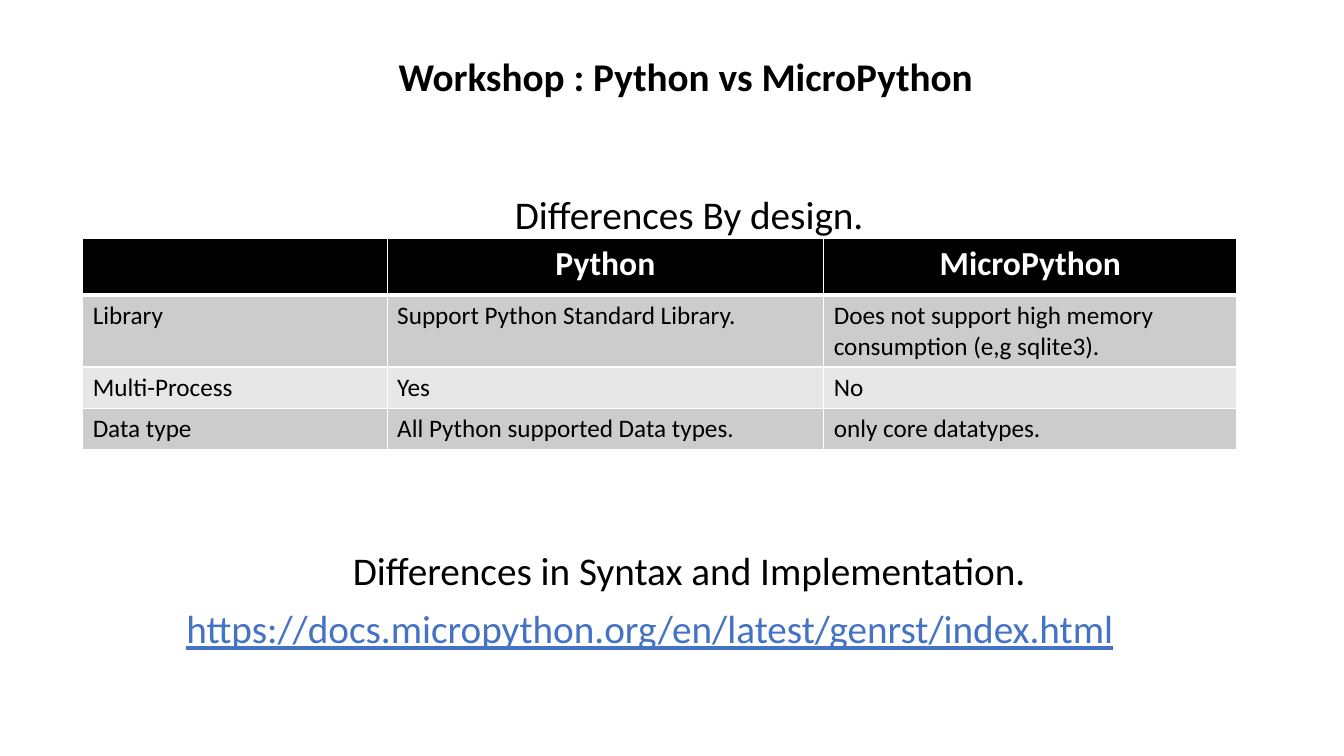
import pptx
import pptx.util
import pptx.dml.color
import pptx.enum.text
import pptx.oxml
import pptx.oxml.ns

Inches = pptx.util.Inches
Pt = pptx.util.Pt
Align = pptx.enum.text.PP_ALIGN

HUES = {"ink": "000000", "paper": "FFFFFF", "link": "4472C4",
        "odd": "CCCCCC", "even": "E7E7E7"}
FONT = "Calibri"

ROWS = [
    ["", "Python", "MicroPython"],
    ["Library", "Support Python Standard Library.",
     "Does not support high memory consumption (e,g sqlite3)."],
    ["Multi-Process", "Yes", "No"],
    ["Data type", "All Python supported Data types.", "only core datatypes."],
]
WIDTHS = [3.02, 4.33, 4.1]
HEIGHTS = [0.56, 0.7, 0.41, 0.41]


def color(name):
    return pptx.dml.color.RGBColor.from_string(HUES[name])


def write(frame, text, size=28, hue="ink", bold=False, line=False,
          align=Align.LEFT):
    """Put one formatted paragraph into a text frame."""
    frame.word_wrap = True
    para = frame.paragraphs[0]
    para.alignment = align
    run = para.add_run()
    run.text = text
    font = run.font
    font.name, font.size = FONT, Pt(size)
    font.bold, font.underline = bold, line
    font.color.rgb = color(hue)


def place(shape, box):
    shape.left, shape.top, shape.width, shape.height = map(Inches, box)


def title(slide, box, text):
    shape = slide.shapes.title
    place(shape, box)
    frame = shape.text_frame
    frame.auto_size = pptx.enum.text.MSO_AUTO_SIZE.NONE
    frame.vertical_anchor = pptx.enum.text.MSO_ANCHOR.TOP
    write(frame, text, bold=True, align=Align.CENTER)


def label(slide, box, text, **look):
    shape = slide.shapes.add_textbox(*map(Inches, box))
    write(shape.text_frame, text, **look)


def border(cell, top, base):
    """Draw white cell edges; top and base are widths in points."""
    props = cell._tc.get_or_add_tcPr()
    edges = [("L", 1), ("R", 1), ("T", top), ("B", base)]
    for spot, (side, width) in enumerate(edges):
        props.insert(spot, pptx.oxml.parse_xml(
            f'<a:ln{side} {pptx.oxml.ns.nsdecls("a")} w="{Pt(width)}">'
            f'<a:solidFill><a:srgbClr val="{HUES["paper"]}"/></a:solidFill>'
            f'</a:ln{side}>'))


def grid(slide, left, top):
    """Comparison table with a dark header and banded rows."""
    box = (left, top, sum(WIDTHS), sum(HEIGHTS))
    table = slide.shapes.add_table(
        len(ROWS), len(WIDTHS), *map(Inches, box)).table
    for col, width in zip(table.columns, WIDTHS):
        col.width = Inches(width)
    for r, words in enumerate(ROWS):
        table.rows[r].height = Inches(HEIGHTS[r])
        head = r == 0
        fill = "ink" if head else "odd" if r % 2 else "even"
        for c, text in enumerate(words):
            cell = table.cell(r, c)
            cell.fill.solid()
            cell.fill.fore_color.rgb = color(fill)
            border(cell, 3 if r == 1 else 1, 3 if head else 1)
            if head and text:
                write(cell.text_frame, text, size=24, hue="paper",
                      bold=True, align=Align.CENTER)
            elif text:
                write(cell.text_frame, text, size=18)


def main():
    deck = pptx.Presentation()
    deck.slide_width, deck.slide_height = Inches(13.33), Inches(7.5)
    slide = deck.slides.add_slide(deck.slide_layouts[5])

    # Title
    title(slide, (0.91, 0.47, 11.78, 0.57), "Workshop : Python vs MicroPython")

    # Design differences
    grid(slide, 0.82, 2.37)
    label(slide, (1.85, 1.84, 9.97, 0.57), "Differences By design.",
          align=Align.CENTER)

    # Syntax differences
    label(slide, (1.85, 5.37, 9.97, 0.57),
          "Differences in Syntax and Implementation.", align=Align.CENTER)
    label(slide, (1.75, 5.95, 9.82, 0.57),
          "https://docs.micropython.org/en/latest/genrst/index.html",
          hue="link", line=True)

    deck.save("out.pptx")


if __name__ == "__main__":
    main()
